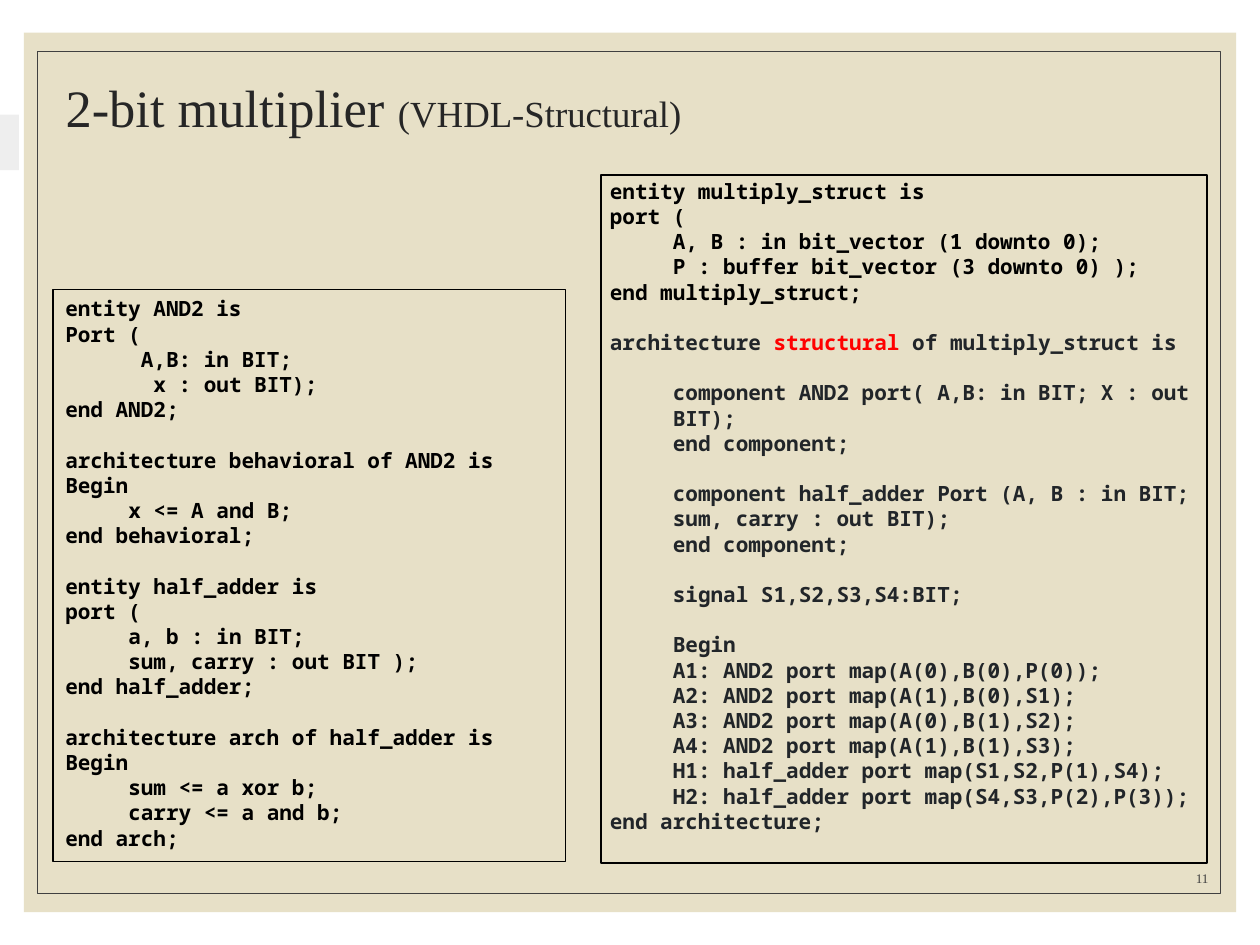
from pptx import Presentation
from pptx.dml.color import RGBColor
from pptx.enum.shapes import MSO_SHAPE
from pptx.enum.text import MSO_ANCHOR, PP_ALIGN
from pptx.util import Inches, Pt

RECT = MSO_SHAPE.RECTANGLE
TOP, MIDDLE, BOTTOM = MSO_ANCHOR.TOP, MSO_ANCHOR.MIDDLE, MSO_ANCHOR.BOTTOM
LEFT, RIGHT = PP_ALIGN.LEFT, PP_ALIGN.RIGHT
SERIF, MONO = "Times New Roman", "Noto Sans Mono"
BLACK, INK, RED, GREY = "000000", "212529", "FF0000", "404040"
CODE_SIZE, BLOCK_GAP = 12, 14.4
KEYWORD = "structural"

TITLE = [("2-bit multiplier ", 30), ("(VHDL-Structural)", 21)]

PARTS = [
    (BLACK, [(0, "entity AND2 is"),
             (0, "Port ("),
             (0.6, "A,B: in BIT;"),
             (0.7, "x : out BIT);"),
             (0, "end AND2;")]),
    (BLACK, [(0, "architecture behavioral of AND2 is"),
             (0, "Begin"),
             (0.5, "x <= A and B;"),
             (0, "end behavioral;")]),
    (BLACK, [(0, "entity half_adder is"),
             (0, "port ("),
             (0.5, "a, b : in BIT;"),
             (0.5, "sum, carry : out BIT );"),
             (0, "end half_adder;")]),
    (BLACK, [(0, "architecture arch of half_adder is"),
             (0, "Begin"),
             (0.5, "sum <= a xor b;"),
             (0.5, "carry <= a and b;"),
             (0, "end arch;")]),
]

MULTIPLIER = [
    (BLACK, [(0, "entity multiply_struct is"),
             (0, "port ("),
             (0.5, "A, B : in bit_vector (1 downto 0);"),
             (0.5, "P : buffer bit_vector (3 downto 0) );"),
             (0, "end multiply_struct;")]),
    (INK, [(0, "architecture structural of multiply_struct is")]),
    (INK, [(0.5, "component AND2 port( A,B: in BIT; X : out BIT);"),
           (0.5, "end component;")]),
    (INK, [(0.5, "component half_adder Port (A, B : in BIT; sum, carry : out BIT);"),
           (0.5, "end component;")]),
    (INK, [(0.5, "signal S1,S2,S3,S4:BIT;")]),
    (INK, [(0.5, "Begin"),
           (0.5, "A1: AND2 port map(A(0),B(0),P(0));"),
           (0.5, "A2: AND2 port map(A(1),B(0),S1);"),
           (0.5, "A3: AND2 port map(A(0),B(1),S2);"),
           (0.5, "A4: AND2 port map(A(1),B(1),S3);"),
           (0.5, "H1: half_adder port map(S1,S2,P(1),S4);"),
           (0.5, "H2: half_adder port map(S4,S3,P(2),P(3));"),
           (0, "end architecture;")]),
]


def rgb(color):
    return RGBColor.from_string(color)


def set_font(font, name, size, color, bold=False):
    font.name, font.size, font.bold = name, Pt(size), bold
    font.color.rgb = rgb(color)


def add_rect(s, box, fill=None, line=None, width=0.75):
    sp = s.shapes.add_shape(RECT, *map(Inches, box))
    sp.shadow.inherit = False
    if fill:
        sp.fill.solid()
        sp.fill.fore_color.rgb = rgb(fill)
    else:
        sp.fill.background()
    if line:
        sp.line.color.rgb = rgb(line)
        sp.line.width = Pt(width)
    else:
        sp.line.fill.background()
    return sp


def set_frame(tf, anchor, insets=(0.1, 0.05, 0.1, 0.05)):
    tf.word_wrap = True
    tf.vertical_anchor = anchor
    tf.margin_left, tf.margin_top, tf.margin_right, tf.margin_bottom = map(Inches, insets)


def add_code_line(p, indent, text, color, gap):
    p.alignment = LEFT
    p.space_before = Pt(gap)
    p._p.get_or_add_pPr().set("marL", str(Inches(indent)))
    set_font(p.font, MONO, CODE_SIZE, color, True)
    before, keyword, after = text.partition(KEYWORD)
    for part, part_color in ((before, color), (keyword, RED), (after, color)):
        if part:
            r = p.add_run()
            r.text = part
            set_font(r.font, MONO, CODE_SIZE, part_color, True)


def add_code(s, box, blocks, anchor, *insets):
    tf = add_rect(s, box, line=BLACK).text_frame
    set_frame(tf, anchor, *insets)
    for b, (color, lines) in enumerate(blocks):
        for i, (indent, text) in enumerate(lines):
            p = tf.add_paragraph() if b or i else tf.paragraphs[0]
            add_code_line(p, indent, text, color, BLOCK_GAP if b and not i else 0)


def add_title(s):
    sp = s.shapes.title
    sp.left, sp.top, sp.width, sp.height = map(Inches, (0.42, 0.32, 8.25, 1.12))
    set_frame(sp.text_frame, MIDDLE)
    p = sp.text_frame.paragraphs[0]
    p.alignment = LEFT
    p.line_spacing = 0.9
    for text, size in TITLE:
        r = p.add_run()
        r.text = text
        set_font(r.font, SERIF, size, "262626")


def add_page_number(s, number):
    tf = s.shapes.add_textbox(*map(Inches, (8.49, 6.8, 1.2, 0.28))).text_frame
    set_frame(tf, BOTTOM)
    p = tf.paragraphs[0]
    p.text = number
    p.alignment = RIGHT
    set_font(p.font, SERIF, 7.5, GREY)


def main():
    prs = Presentation()
    prs.slide_width, prs.slide_height = Inches(10), Inches(7.5)
    s = prs.slides.add_slide(prs.slide_layouts[5])
    panel = add_rect(s, (0.19, 0.26, 9.62, 6.98), fill="E7E0C7")
    frame = add_rect(s, (0.3, 0.41, 9.39, 6.68), line=GREY, width=0.5)
    for sp in (frame, panel):
        s.shapes._spTree.insert(2, sp._element)
    add_title(s)
    add_page_number(s, "11")
    add_code(s, (4.77, 1.39, 4.81, 5.46), MULTIPLIER, MIDDLE, (0.07, 0, 0.07, 0.21))
    add_rect(s, (0, 0.91, 0.15, 0.44), fill="EEEEEE")
    add_code(s, (0.42, 2.3, 4.07, 4.54), PARTS, TOP)
    prs.save("out.pptx")


if __name__ == "__main__":
    main()
